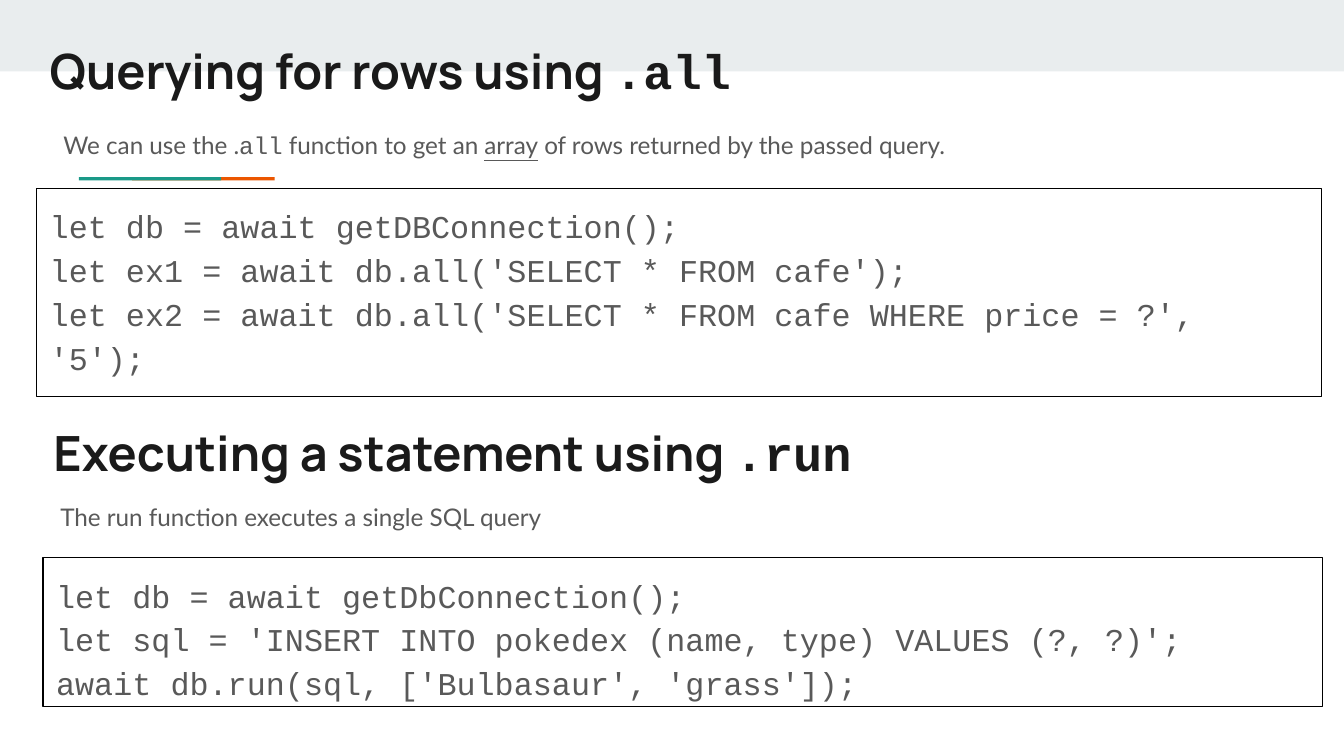
from pptx import Presentation
from pptx import util as u
from pptx.dml import color
from pptx.enum import shapes, text

COLORS = {
    "band": "E9EDEE",
    "teal": "1A9988",
    "orange": "EB5600",
    "heading": "1A1A1A",
    "prose": "595959",
    "border": "000000",
}
MONO = "Courier New"


def rgb(name):
    return color.RGBColor.from_string(COLORS[name])


def write_text(box, paragraphs, size, ink, font, bold=False, spacing=1.0, after=0):
    frame = box.text_frame
    frame.word_wrap = True
    frame.auto_size = text.MSO_AUTO_SIZE.NONE
    frame.vertical_anchor = text.MSO_ANCHOR.TOP
    frame.margin_left = frame.margin_right = u.Cm(0.25)
    frame.margin_top = frame.margin_bottom = u.Cm(0.25)
    for index, spans in enumerate(paragraphs):
        para = frame.paragraphs[0] if index == 0 else frame.add_paragraph()
        properties = para._p.get_or_add_pPr()
        properties.set("marL", "0")
        properties.set("indent", "0")
        properties.append(properties.makeelement(
            "{http://schemas.openxmlformats.org/drawingml/2006/main}buNone", {}))
        para.alignment = text.PP_ALIGN.LEFT
        para.line_spacing = spacing
        para.space_before = u.Pt(0)
        para.space_after = u.Pt(after)
        for words, style in spans:
            span = para.add_run()
            span.text = words
            span.font.size = u.Pt(size)
            span.font.bold = bold
            span.font.name = style.get("font", font)
            span.font.underline = style.get("underline", False)
            span.font.color.rgb = rgb(ink)


def place(box, left, top, width, height):
    box.left, box.top = u.Cm(left), u.Cm(top)
    box.width, box.height = u.Cm(width), u.Cm(height)


def add_bar(page, fill, left, top, width, height):
    bar = page.shapes.add_shape(
        shapes.MSO_SHAPE.RECTANGLE, u.Cm(left), u.Cm(top), u.Cm(width), u.Cm(height))
    bar.shadow.inherit = False
    bar.fill.solid()
    bar.fill.fore_color.rgb = rgb(fill)
    bar.line.fill.background()
    return bar


def add_backdrop(page, left, top, width, height):
    bars = [
        add_bar(page, "band", left, top, width, height),
        add_bar(page, "orange", left + 2.5, top + 3.35, 2.69, 0.06),
        add_bar(page, "teal", left + 1.49, top + 3.35, 2.69, 0.06),
    ]
    for position, bar in enumerate(bars, start=2):
        page.shapes._spTree.insert(position, bar._element)


def fill_heading(box, words, method, *area):
    place(box, *area)
    write_text(box, [[(words, {}), (method, {"font": MONO})]],
               size=26, ink="heading", font="Manrope", bold=True)


def fill_prose(box, spans, *area, after=0):
    place(box, *area)
    write_text(box, [spans], size=13, ink="prose", font="Lato", spacing=1.15, after=after)


def fill_code(box, lines, *area):
    place(box, *area)
    box.line.color.rgb = rgb("border")
    box.line.width = u.Pt(0.75)
    write_text(box, [[(line, {})] for line in lines],
               size=17, ink="prose", font=MONO, spacing=1.15)


def main():
    deck = Presentation()
    deck.slide_width, deck.slide_height = u.Cm(25.4), u.Cm(14.29)
    page = deck.slides.add_slide(deck.slide_layouts.get_by_name("Comparison"))
    title, all_prose, all_code, run_prose, run_code = page.placeholders
    add_backdrop(page, 0, 0, 25.4, 1.35)

    fill_heading(title, "Querying for rows using ", ".all", 0.69, 0.53, 23.67, 1.6)
    fill_prose(all_prose, [
        ("We can use the .", {}),
        ("all", {"font": MONO}),
        (" function to get an ", {}),
        ("array", {"underline": True}),
        (" of rows returned by the passed query.", {}),
    ], 0.95, 2.13, 23.93, 1.85, after=16)
    fill_code(all_code, [
        "let db = await getDBConnection();",
        "let ex1 = await db.all('SELECT * FROM cafe');",
        "let ex2 = await db.all('SELECT * FROM cafe WHERE price = ?', '5');",
    ], 0.69, 3.56, 24.28, 3.94)

    run_heading = page.shapes.add_textbox(0, 0, 0, 0)
    fill_heading(run_heading, "Executing a statement using ", ".run", 0.76, 7.75, 22.63, 1.52)
    fill_prose(run_prose, [("The run function executes a single SQL query", {})],
               0.89, 9.17, 22.2, 1.4)
    fill_code(run_code, [
        "let db = await getDbConnection();",
        "let sql = 'INSERT INTO pokedex (name, type) VALUES (?, ?)';",
        "await db.run(sql, ['Bulbasaur', 'grass']);",
    ], 0.81, 10.54, 24.18, 2.82)

    deck.save("out.pptx")


if __name__ == "__main__":
    main()
